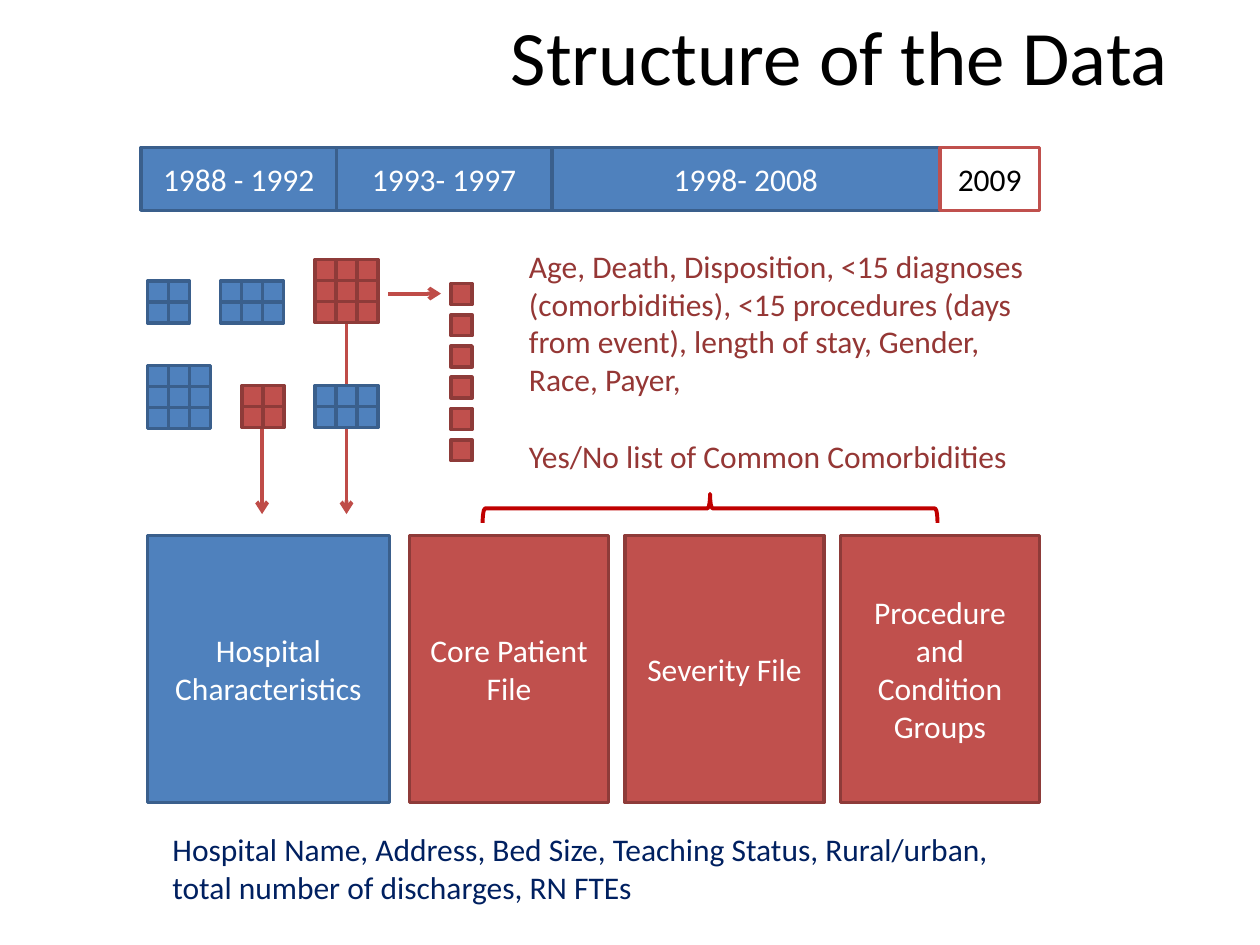
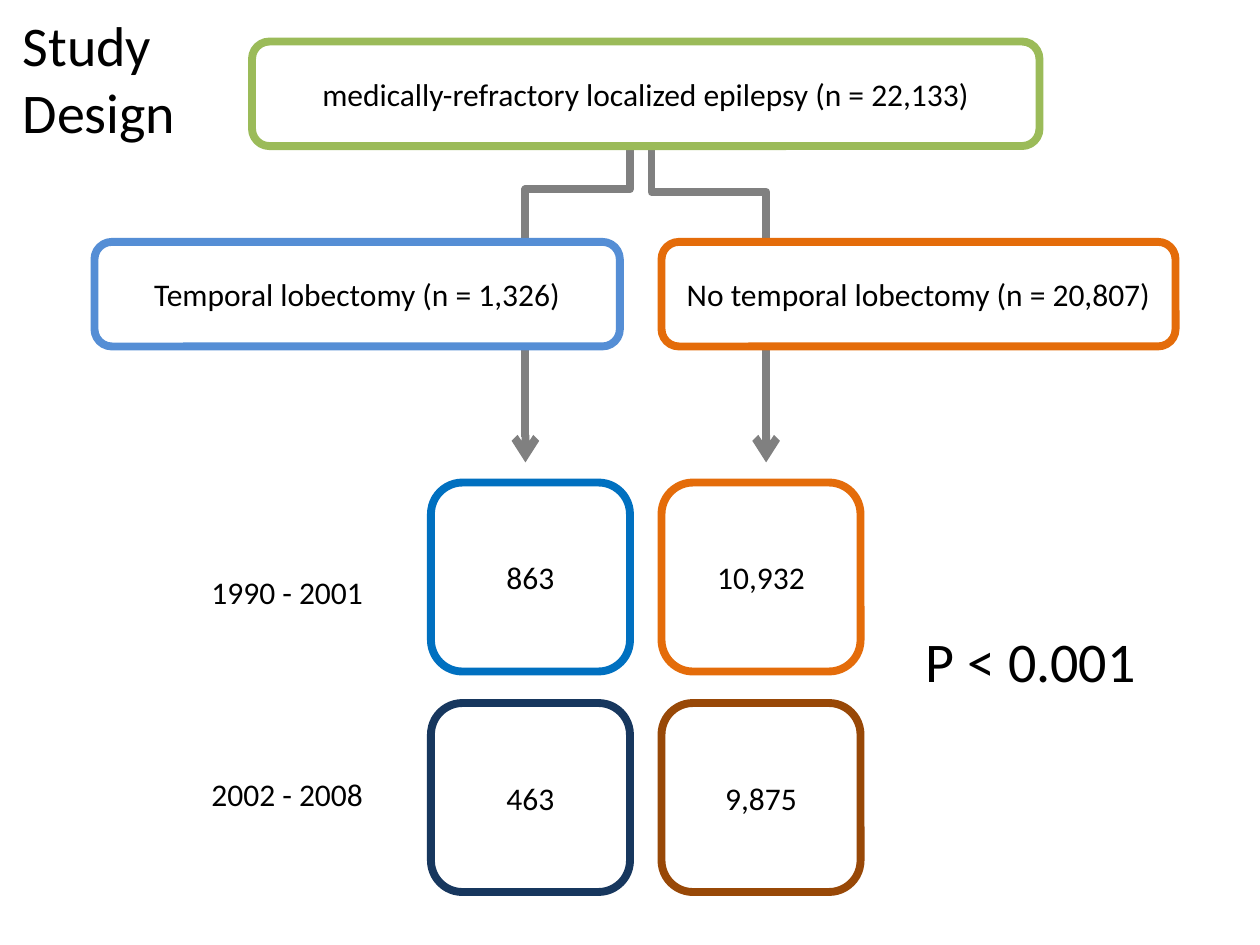
from dataclasses import dataclass

from lxml.etree import SubElement
from pptx import Presentation
from pptx.dml.color import RGBColor
from pptx.enum.shapes import MSO_CONNECTOR, MSO_SHAPE
from pptx.enum.text import MSO_ANCHOR, MSO_AUTO_SIZE, PP_ALIGN
from pptx.oxml.ns import qn
from pptx.util import Inches, Pt


@dataclass(frozen=True)
class Theme:
    font: str = "Calibri"
    title: int = 44
    heading: int = 32
    body: int = 18
    black: str = "000000"
    white: str = "FFFFFF"
    blue: str = "4F81BD"
    blue_edge: str = "3A5F8C"
    red: str = "C0504D"
    red_edge: str = "8E3B39"
    arrow: str = "BF4C48"
    brace: str = "C00000"
    navy_text: str = "002060"
    red_text: str = "953735"
    gray: str = "808080"
    green: str = "9BBB59"
    sky: str = "558ED5"
    orange: str = "E46C0A"
    strong_blue: str = "0070C0"
    navy: str = "17375E"
    brown: str = "984807"
    thin: float = 2
    medium: float = 2.25
    thick: float = 4.5


@dataclass(frozen=True)
class Box:
    x: float
    y: float
    w: float
    h: float

    def inches(self):
        return [Inches(v) for v in (self.x, self.y, self.w, self.h)]


T = Theme()
BLUE = (T.blue, T.blue_edge)
RED = (T.red, T.red_edge)
CELL = 1 / 6


def rgb(color):
    return RGBColor.from_string(color)


def write(tf, lines, size, color, align=PP_ALIGN.LEFT, gap=0):
    for i, line in enumerate(lines):
        p = tf.paragraphs[0] if i == 0 else tf.add_paragraph()
        p.text = line
        p.alignment = align
        p.font.name = T.font
        p.font.size = Pt(size)
        p.font.color.rgb = rgb(color)
        if i and gap:
            p.space_before = Pt(gap)


def add_title(s, box, lines, size, align, anchor):
    sp = s.shapes.title
    sp.left, sp.top, sp.width, sp.height = box.inches()
    tf = sp.text_frame
    tf.auto_size = MSO_AUTO_SIZE.NONE
    tf.vertical_anchor = anchor
    write(tf, lines, size, T.black, align)


def add_text(s, box, lines, size=T.body, color=T.black, gap=0, wrap=True):
    tf = s.shapes.add_textbox(*box.inches()).text_frame
    tf.word_wrap = wrap
    tf.auto_size = MSO_AUTO_SIZE.SHAPE_TO_FIT_TEXT
    write(tf, lines, size, color, gap=gap)


def add_block(shapes, box, fill, edge, text="", color=T.white,
              kind=MSO_SHAPE.RECTANGLE, width=T.thin):
    sp = shapes.add_shape(kind, *box.inches())
    sp.shadow.inherit = False
    if fill:
        sp.fill.solid()
        sp.fill.fore_color.rgb = rgb(fill)
    else:
        sp.fill.background()
    sp.line.color.rgb = rgb(edge)
    sp.line.width = Pt(width)
    if text:
        sp.text_frame.vertical_anchor = MSO_ANCHOR.MIDDLE
        write(sp.text_frame, [text], T.body, color, PP_ALIGN.CENTER)
    return sp


def add_arrow(s, kind, x1, y1, x2, y2, color, width):
    c = s.shapes.add_connector(kind, *[Inches(v) for v in (x1, y1, x2, y2)])
    c.line.color.rgb = rgb(color)
    c.line.width = Pt(width)
    sp_pr = c._element.spPr
    SubElement(sp_pr.find(qn("a:ln")), qn("a:tailEnd"), type="arrow")
    SubElement(sp_pr, qn("a:effectLst"))
    return c


def add_down_elbow(s, x1, y1, x2, y2, bend):
    drop, shift = y2 - y1, abs(x2 - x1)
    left = (x1 + x2 - drop) / 2
    top = (y1 + y2 - shift) / 2
    c = add_arrow(s, MSO_CONNECTOR.ELBOW, left, top, left + drop, top + shift,
                  T.gray, T.thick)
    xfrm = c._element.spPr.find(qn("a:xfrm"))
    if x2 < x1:
        xfrm.set("rot", str(90 * 60000))
    else:
        xfrm.set("rot", str(270 * 60000))
        xfrm.set("flipH", "1")
    geom = c._element.spPr.find(qn("a:prstGeom"))
    guides = geom.find(qn("a:avLst"))
    if guides is None:
        guides = SubElement(geom, qn("a:avLst"))
    SubElement(guides, qn("a:gd"), name="adj1", fmla=f"val {round(bend * 100000)}")


def add_timeline(s, box):
    periods = [("1988 - 1992", 1.55), ("1993- 1997", 1.71), ("1998- 2008", 3.08)]
    x = box.x
    for label, w in periods:
        add_block(s.shapes, Box(x, box.y, w, box.h), *BLUE, label)
        x += w
    add_block(s.shapes, Box(x, box.y, box.x + box.w - x, box.h),
              T.white, T.red, "2009", T.black)


def add_cell_grid(s, x, y, cols, rows, colors):
    grp = s.shapes.add_group_shape()
    for row in range(rows):
        for col in range(cols):
            cell = Box(x + col * CELL, y + row * CELL, CELL, CELL)
            add_block(grp.shapes, cell, *colors)


def add_hospital_sample(s, box):
    line = MSO_CONNECTOR.STRAIGHT
    bottom = box.y + box.h
    for dx, dy in [(0.91, 1.34), (1.58, 0.5)]:
        add_arrow(s, line, box.x + dx, box.y + dy, box.x + dx, bottom,
                  T.arrow, T.medium)
    grids = [
        (0, 0.17, 2, 2, BLUE), (0.58, 0.17, 3, 2, BLUE), (1.33, 0, 3, 3, RED),
        (0, 0.84, 3, 3, BLUE), (0.75, 1, 2, 2, RED), (1.33, 1, 3, 2, BLUE),
    ]
    for dx, dy, cols, rows, colors in grids:
        add_cell_grid(s, box.x + dx, box.y + dy, cols, rows, colors)
    for i in range(6):
        patient = Box(box.x + 2.41, box.y + 0.19 + i * 0.248, CELL, CELL)
        add_block(s.shapes, patient, *RED)
    add_arrow(s, line, box.x + 1.91, box.y + 0.27, box.x + 2.33, box.y + 0.27,
              T.arrow, T.medium)


def add_files(s, box):
    add_block(s.shapes, Box(box.x, box.y, 1.92, box.h), *BLUE,
              "Hospital Characteristics")
    names = ["Core Patient File", "Severity File", "Procedure and Condition Groups"]
    for i, name in enumerate(names):
        add_block(s.shapes, Box(box.x + 2.08 + i * 1.71, box.y, 1.58, box.h),
                  *RED, name)
    brace = add_block(s.shapes, Box(box.x + 4.35, box.y - 2.02, 0.23, 3.61), None,
                      T.brace, kind=MSO_SHAPE.LEFT_BRACE, width=T.medium)
    brace.rotation = 90


def add_outline_box(s, box, edge, text):
    add_block(s.shapes, box, T.white, edge, text, T.black,
              MSO_SHAPE.ROUNDED_RECTANGLE, T.thick)


def add_cohort_tree(s, box):
    x, y = box.x, box.y
    add_down_elbow(s, x + 4.25, y + 0.59, x + 3.42, y + 3.34, 0.212)
    add_down_elbow(s, x + 4.42, y + 0.59, x + 5.33, y + 3.34, 0.219)
    add_outline_box(s, Box(x + 1.25, y, 6.25, 0.83), T.green,
                    "medically-refractory localized epilepsy (n = 22,133)")
    low = y + box.h - 0.83
    add_outline_box(s, Box(x, low, 4.17, 0.83), T.sky,
                    "Temporal lobectomy (n = 1,326)")
    add_outline_box(s, Box(x + 4.5, low, 4.08, 0.83), T.orange,
                    "No temporal lobectomy (n = 20,807)")


def add_period_counts(s, box):
    rows = [
        ("1990 - 2001", 0.67, [("863", T.strong_blue), ("10,932", T.orange)]),
        ("2002 - 2008", 2.27, [("463", T.navy), ("9,875", T.brown)]),
    ]
    for i, (period, label_y, counts) in enumerate(rows):
        add_text(s, Box(box.x, box.y + label_y, 1.42, 0.4), [period], wrap=False)
        for j, (count, edge) in enumerate(counts):
            cell = Box(box.x + 1.84 + j * 1.83, box.y + i * 1.75, 1.58, 1.5)
            add_outline_box(s, cell, edge, count)
    add_text(s, Box(box.x + 5.67, box.y + 1.09, 2.08, 0.64), ["P < 0.001"], T.heading)


def data_slide(s):
    add_title(s, Box(3.33, 0, 6.67, 0.87), ["Structure of the Data"], T.title,
              PP_ALIGN.CENTER, MSO_ANCHOR.MIDDLE)
    add_timeline(s, Box(1.12, 1.17, 7.13, 0.5))
    add_hospital_sample(s, Box(1.17, 2.06, 2.58, 2.02))
    add_files(s, Box(1.17, 4.25, 7.08, 2.12))
    add_text(s, Box(1.27, 6.54, 6.98, 0.71),
             ["Hospital Name, Address, Bed Size, Teaching Status, Rural/urban, "
              "total number of discharges, RN FTEs"], color=T.navy_text)
    add_text(s, Box(4.1, 1.91, 4.23, 1.92),
             ["Age, Death, Disposition, <15 diagnoses (comorbidities), "
              "<15 procedures (days from event), length of stay, Gender, Race, Payer,",
              "Yes/No list of Common Comorbidities"], color=T.red_text, gap=22)


def design_slide(s):
    add_title(s, Box(0.08, 0.03, 2.92, 1.18), ["Study", "Design"], T.heading,
              PP_ALIGN.LEFT, MSO_ANCHOR.TOP)
    add_cohort_tree(s, Box(0.75, 0.33, 8.58, 2.42))
    add_period_counts(s, Box(1.58, 3.83, 7.75, 3.25))


def main():
    prs = Presentation()
    prs.slide_width, prs.slide_height = Inches(10), Inches(7.5)
    for build in (data_slide, design_slide):
        build(prs.slides.add_slide(prs.slide_layouts[5]))
    prs.save("out.pptx")


if __name__ == "__main__":
    main()
